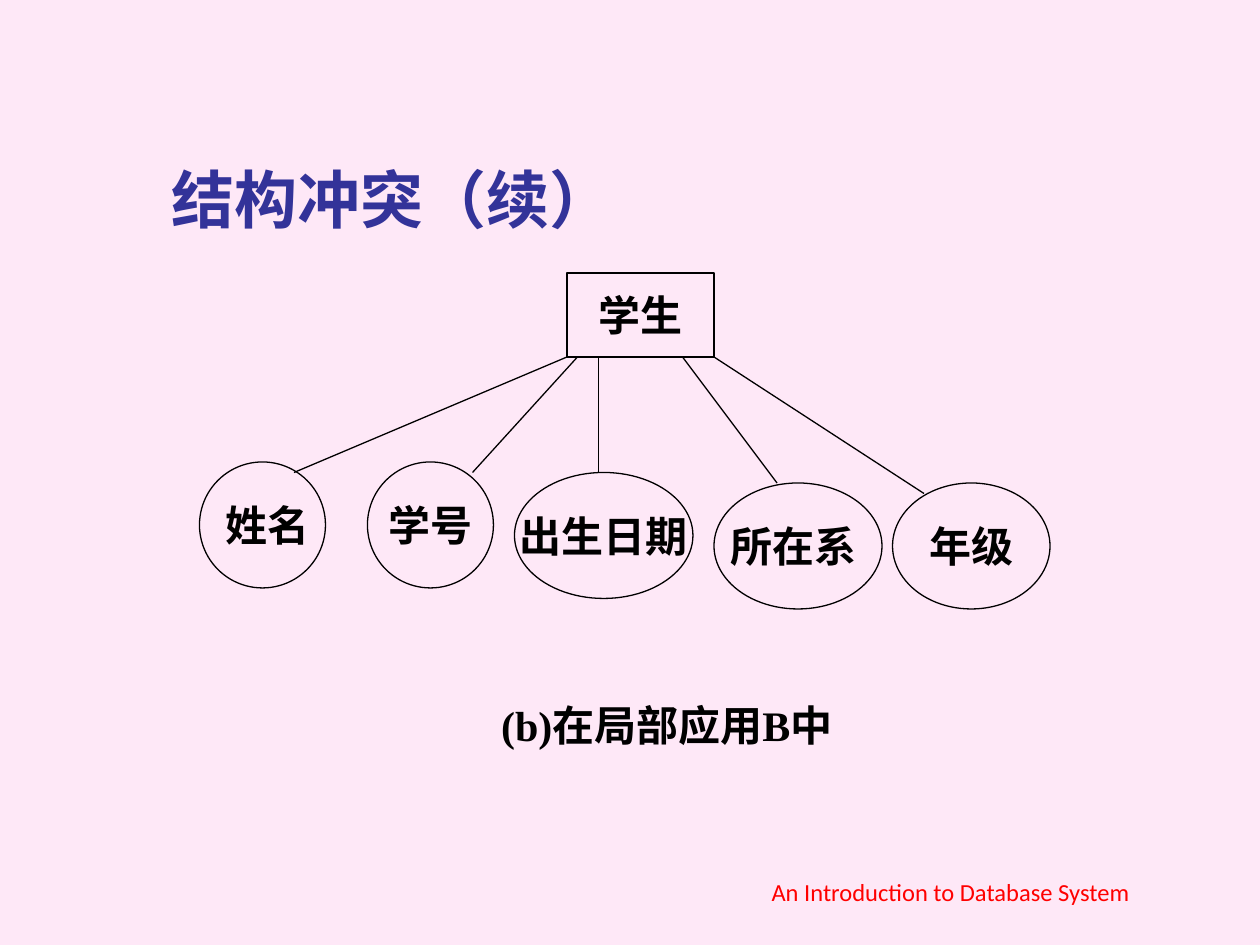
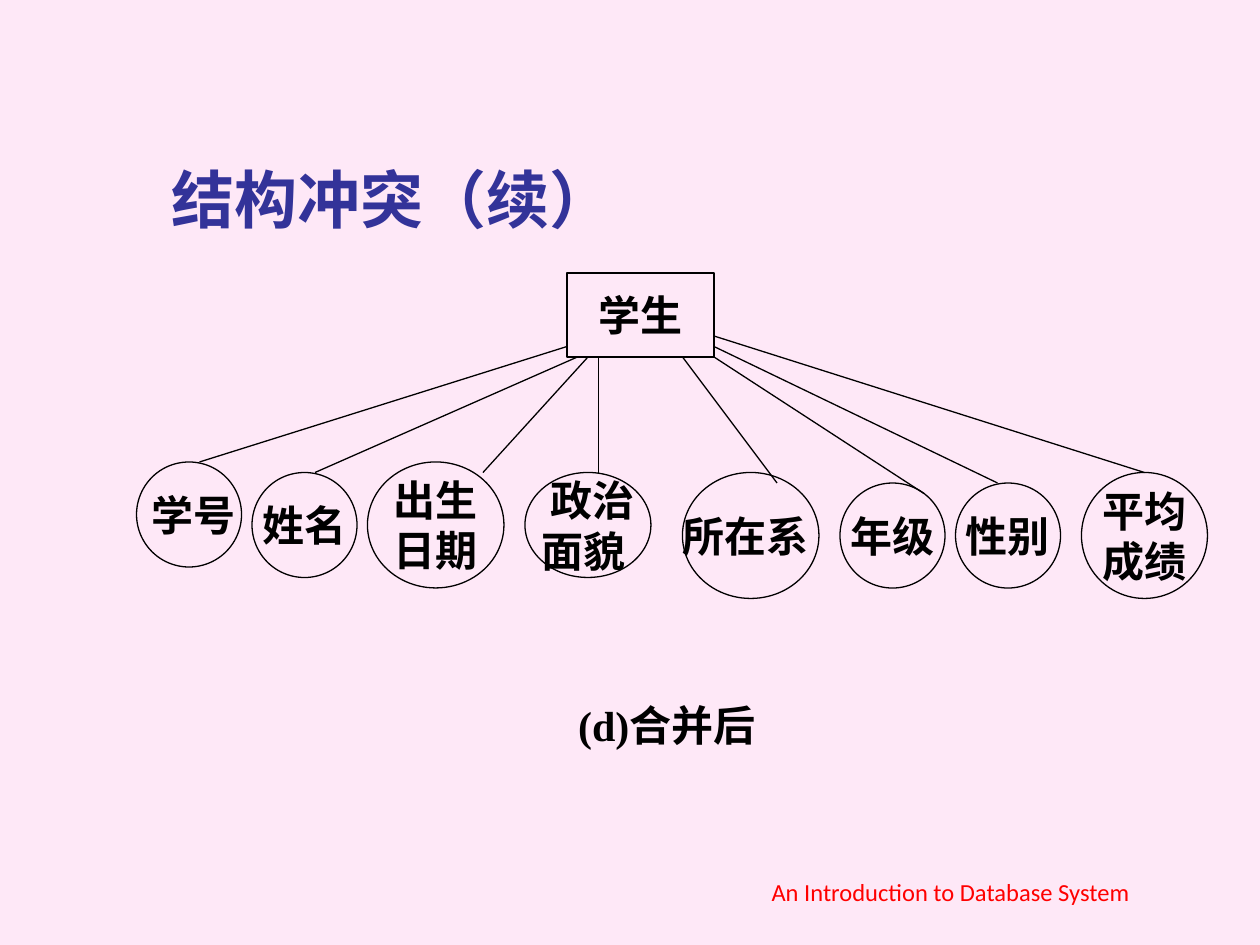
"""Builds two slides showing the attributes of a student entity before and after merging."""
from lxml import etree
from pptx import Presentation
from pptx.dml.color import RGBColor
from pptx.enum import shapes, text
from pptx.oxml import ns
from pptx.util import Pt

PINK = RGBColor(0xFE, 0xE8, 0xF7)
INDIGO = RGBColor(0x33, 0x33, 0x99)
BLACK = RGBColor(0, 0, 0)
RED = RGBColor(0xFF, 0, 0)

TITLE = "结构冲突（续）"
FOOTER = "An Introduction to Database System"
ENTITY_BOX = (324, 156, 84, 48)

# Attribute: lines of text, ellipse box, link start on the entity, link end
diagrams = [
    ("(b)在局部应用B中", [
        ([" 姓名"], (114, 264, 72, 72), (324, 204), (168, 270)),
        (["学号"], (210, 264, 72, 72), (330, 204), (270, 270)),
        (["出生日期"], (294, 270, 102, 72), (342, 204), (342, 270)),
        (["所在系 "], (408, 276, 96, 72), (390, 204), (444, 276)),
        (["年级"], (510, 276, 90, 72), (408, 204), (528, 282)),
    ]),
    ("(d)合并后", [
        ([" 学号"], (78, 264, 60, 60), (324, 198), (114, 264)),
        (["姓名"], (144, 270, 60, 60), (330, 204), (180, 270)),
        (["出生", "日期"], (210, 264, 78, 72), (336, 204), (276, 270)),
        ([" 政治", "面貌 "], (300, 270, 72, 60), (342, 204), (342, 270)),
        (["所在系 "], (390, 270, 78, 72), (390, 204), (444, 276)),
        (["年级"], (480, 276, 60, 60), (408, 204), (528, 282)),
        (["性别"], (546, 276, 60, 60), (408, 198), (570, 276)),
        (["平均", "成绩"], (618, 270, 72, 72), (408, 192), (654, 270)),
    ]),
]


def write(holder, lines, font="Times New Roman", size=24, color=BLACK, bold=True,
          align=text.PP_ALIGN.CENTER, anchor=text.MSO_ANCHOR.MIDDLE, wrap=False):
    frame = holder.text_frame
    frame.word_wrap = wrap
    frame.vertical_anchor = anchor
    for index, line in enumerate(lines):
        paragraph = frame.add_paragraph() if index else frame.paragraphs[0]
        paragraph.alignment = align
        run = paragraph.add_run()
        run.text = line
        run.font.name = font
        run.font.size = Pt(size)
        run.font.bold = bold
        run.font.color.rgb = color


def draw_node(slide, kind, box, lines):
    node = slide.shapes.add_shape(kind, *map(Pt, box))
    node.shadow.inherit = False
    node.fill.background()
    node.line.color.rgb = BLACK
    node.line.width = Pt(0.75)
    write(node, lines)


prs = Presentation()
prs.slide_width, prs.slide_height = Pt(720), Pt(540)

for caption, attributes in diagrams:
    slide = prs.slides.add_slide(prs.slide_layouts[6])
    slide.background.fill.solid()
    slide.background.fill.fore_color.rgb = PINK

    title = slide.shapes.add_textbox(Pt(90.7), Pt(48.2), Pt(613.4), Pt(90))
    write(title, [TITLE], "Karla", 36, INDIGO, align=text.PP_ALIGN.LEFT,
          anchor=text.MSO_ANCHOR.BOTTOM, wrap=True)

    draw_node(slide, shapes.MSO_SHAPE.RECTANGLE, ENTITY_BOX, ["学生"])
    for lines, box, start, end in attributes:
        draw_node(slide, shapes.MSO_SHAPE.OVAL, box, lines)
        link = slide.shapes.add_connector(shapes.MSO_CONNECTOR.STRAIGHT, *map(Pt, start + end))
        link.line.color.rgb = BLACK
        link.line.width = Pt(0.75)
        etree.SubElement(link._element.spPr, ns.qn("a:effectLst"))

    caption_box = slide.shapes.add_textbox(Pt(264), Pt(390), Pt(234), Pt(48))
    write(caption_box, [caption])

    footer = slide.shapes.add_textbox(Pt(396), Pt(485.3), Pt(294.5), Pt(36))
    write(footer, [FOOTER], "Calibri", 14, RED, bold=False,
          anchor=text.MSO_ANCHOR.BOTTOM, wrap=True)

prs.save("out.pptx")
